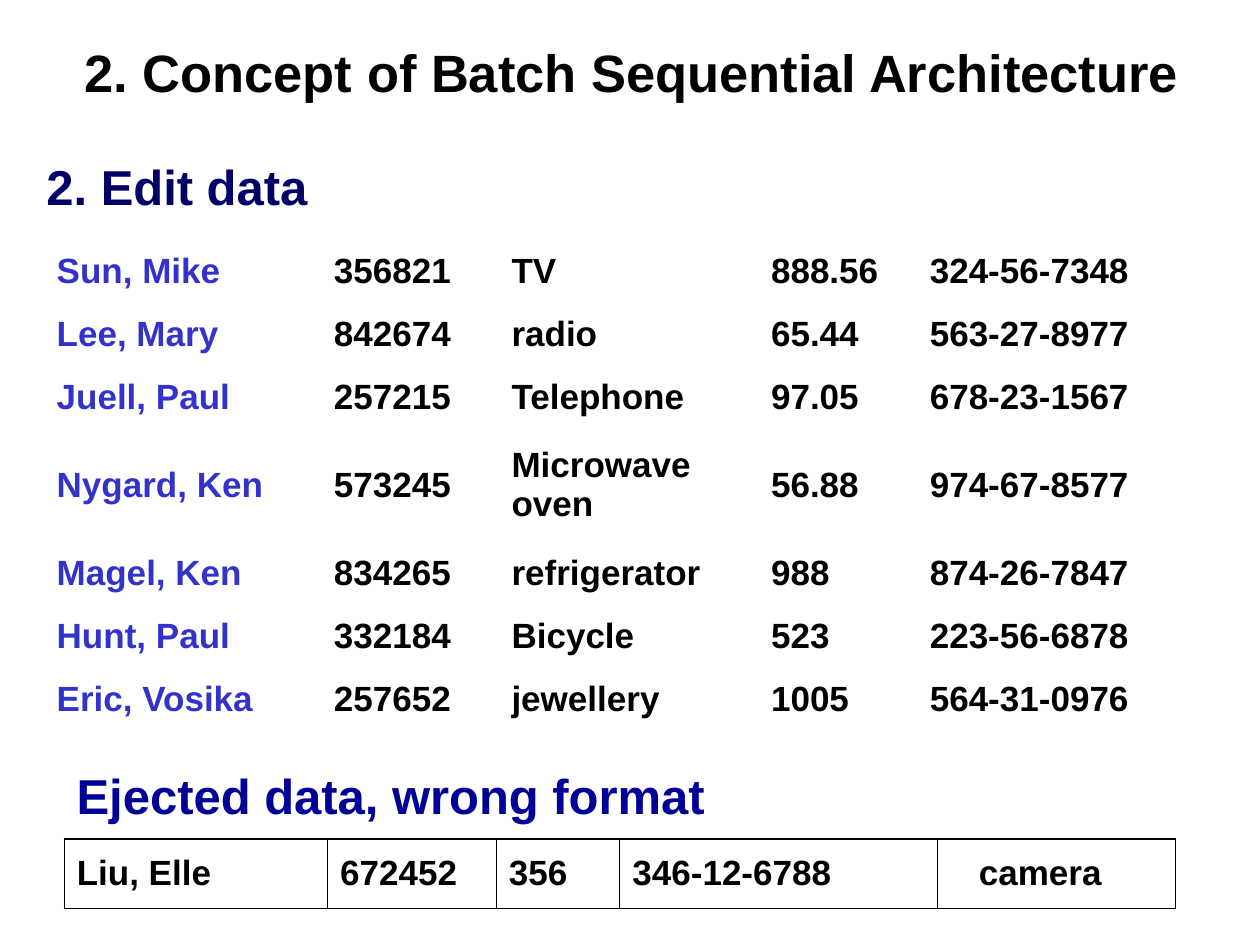
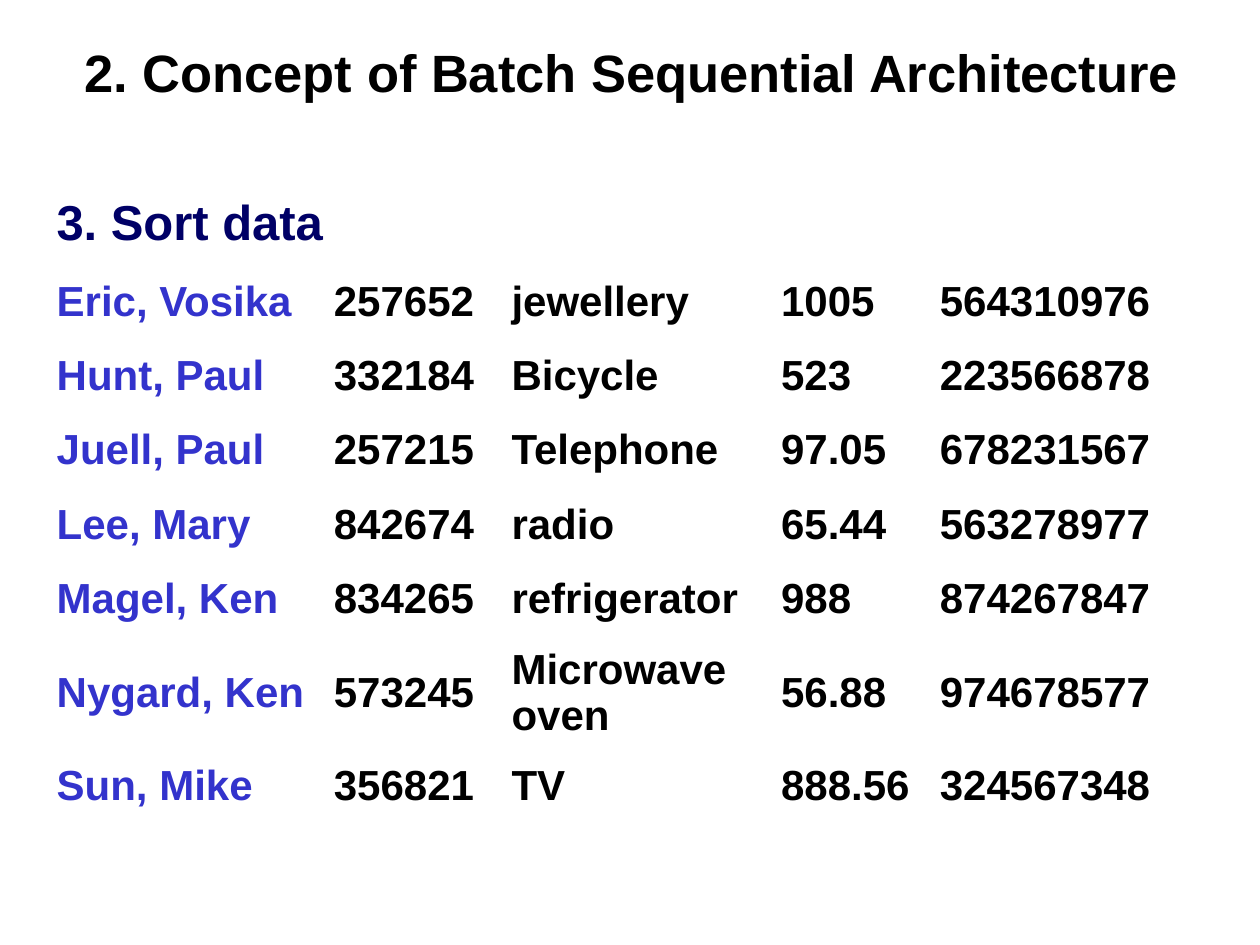
from pptx import Presentation
from pptx.dml.color import RGBColor
from pptx.enum import text
from pptx.oxml import parse_xml
from pptx.oxml.ns import nsdecls
from pptx.util import Inches, Pt

FONT = "Arial"
BLACK = RGBColor(0x00, 0x00, 0x00)
NAME_BLUE = RGBColor(0x33, 0x33, 0xCC)
STEP_NAVY = RGBColor(0x00, 0x00, 0x66)
EJECTED_BLUE = RGBColor(0x00, 0x00, 0x99)

TITLE = "2. Concept of Batch Sequential Architecture"
TITLE_BOX = (0.39, 0.34, 9.25, 0.53)
TITLE_ONLY = 5
BORDERS = {"lnL": 0.45, "lnR": 0.45, "lnT": 1.08, "lnB": 1.08}

EDITED = [
    ("Sun, Mike", "356821", "TV", "888.56", "324-56-7348"),
    ("Lee, Mary", "842674", "radio", "65.44", "563-27-8977"),
    ("Juell, Paul", "257215", "Telephone", "97.05", "678-23-1567"),
    ("Nygard, Ken", "573245", "Microwave oven", "56.88", "974-67-8577"),
    ("Magel, Ken", "834265", "refrigerator", "988", "874-26-7847"),
    ("Hunt, Paul", "332184", "Bicycle", "523", "223-56-6878"),
    ("Eric, Vosika", "257652", "jewellery", "1005", "564-31-0976"),
]
SORTED = [(*rest, number.replace("-", "")) for *rest, number in sorted(EDITED)]
EJECTED = [("Liu, Elle", "672452", "356", "346-12-6788", "camera")]


def write(tf, content, size=20, color=BLACK, align=text.PP_ALIGN.LEFT, spacing=None):
    p = tf.paragraphs[0]
    p.alignment = align
    p.line_spacing = spacing
    r = p.add_run()
    r.text = content
    r.font.name = FONT
    r.font.size = Pt(size)
    r.font.bold = True
    r.font.color.rgb = color


def set_frame(tf):
    tf.word_wrap = True
    tf.auto_size = text.MSO_AUTO_SIZE.NONE
    tf.vertical_anchor = text.MSO_ANCHOR.TOP


def add_titled_slide(prs):
    s = prs.slides.add_slide(prs.slide_layouts[TITLE_ONLY])
    sp = s.shapes.title
    sp.left, sp.top, sp.width, sp.height = map(Inches, TITLE_BOX)
    set_frame(sp.text_frame)
    write(sp.text_frame, TITLE, size=30, align=text.PP_ALIGN.CENTER, spacing=0.85)
    return s


def add_heading(s, content, box, color=STEP_NAVY):
    tf = s.shapes.add_textbox(*map(Inches, box)).text_frame
    set_frame(tf)
    write(tf, content, size=28, color=color)


def add_borders(cell):
    tc_pr = cell._tc.get_or_add_tcPr()
    for position, (tag, width) in enumerate(BORDERS.items()):
        tc_pr.insert(position, parse_xml(
            f'<a:{tag} {nsdecls("a")} w="{Pt(width)}"><a:solidFill>'
            f'<a:srgbClr val="{BLACK}"/></a:solidFill></a:{tag}>'))


def add_records(s, records, origin, widths, heights, size=20,
                name_color=NAME_BLUE, bordered=False):
    left, top = origin
    box = (left, top, sum(widths), sum(heights))
    table = s.shapes.add_table(len(records), len(widths), *map(Inches, box)).table
    table.first_row = table.horz_banding = False
    for column, width in zip(table.columns, widths):
        column.width = Inches(width)
    for row, height, record in zip(table.rows, heights, records):
        row.height = Inches(height)
        for i, (cell, value) in enumerate(zip(row.cells, record)):
            cell.fill.background()
            cell.vertical_anchor = text.MSO_ANCHOR.MIDDLE
            write(cell.text_frame, value, size=size,
                  color=BLACK if i else name_color)
            if bordered:
                add_borders(cell)
    return table


def build_edit_slide(prs):
    s = add_titled_slide(prs)
    add_heading(s, "2. Edit data", (0.27, 1.19, 2.52, 0.57))
    add_records(s, EDITED, (0.35, 1.9), (2.2, 1.41, 2.06, 1.26, 2.36),
                [0.5] * 3 + [0.9] + [0.5] * 3)
    add_heading(s, "Ejected data, wrong format", (0.51, 6.03, 5.99, 0.57), EJECTED_BLUE)
    ejected = add_records(s, EJECTED, (0.51, 6.66), (2.09, 1.34, 0.98, 2.52, 1.89),
                          [0.55], name_color=BLACK, bordered=True)
    ejected.cell(0, 4).margin_left = Inches(0.33)


def build_sort_slide(prs):
    s = add_titled_slide(prs)
    add_heading(s, "3. Sort data", (0.35, 1.47, 2.68, 0.57))
    add_records(s, SORTED, (0.35, 2.1), (2.2, 1.41, 2.14, 1.26, 2.28),
                [0.59] * 5 + [0.9, 0.58], size=24)


def main():
    prs = Presentation()
    prs.slide_width, prs.slide_height = Inches(10), Inches(7.5)
    build_edit_slide(prs)
    build_sort_slide(prs)
    prs.save("out.pptx")


if __name__ == "__main__":
    main()
